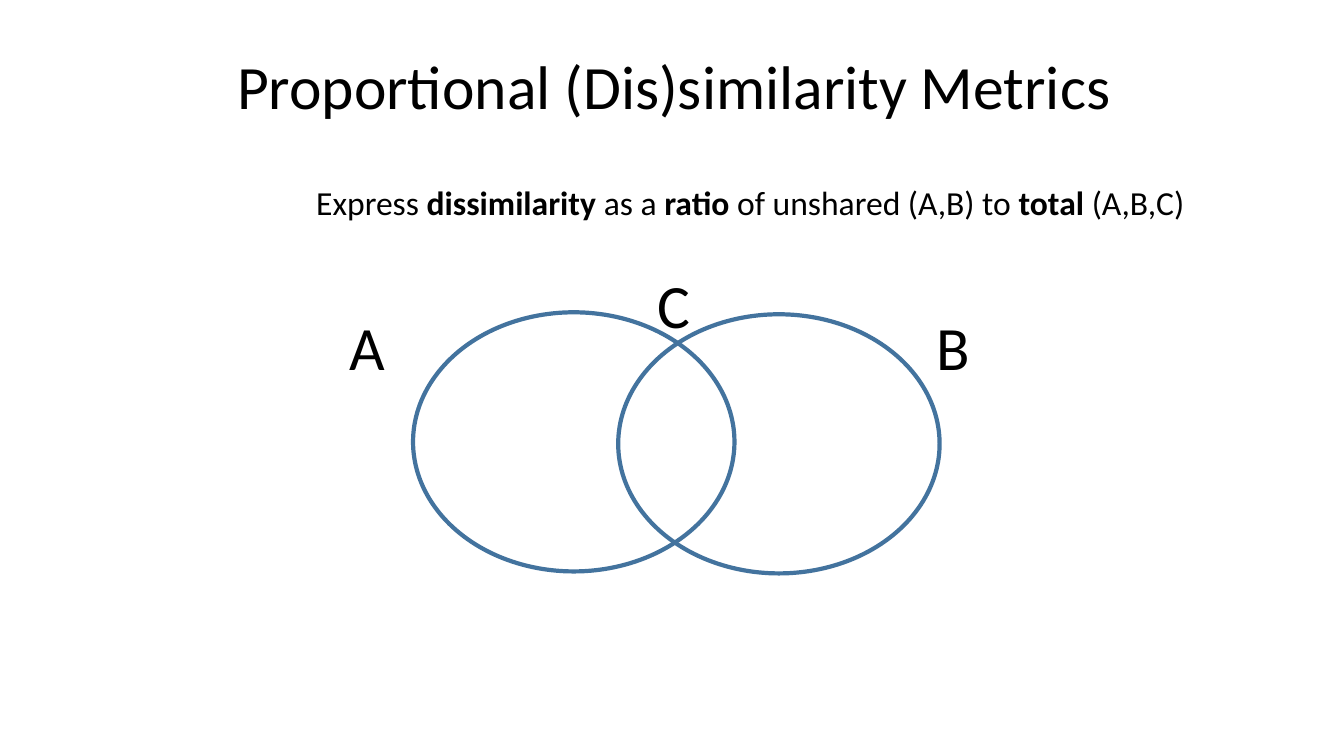
from dataclasses import dataclass
from pptx import Presentation
from pptx.dml.color import RGBColor as RGB
from pptx.enum.shapes import MSO_SHAPE as Shape
from pptx.enum.text import MSO_ANCHOR as Anchor, MSO_AUTO_SIZE as Fit, PP_ALIGN as Align
from pptx.util import Cm, Pt


@dataclass(frozen=True)
class Theme:
    font: str = "Calibri"
    ink: RGB = RGB(0, 0, 0)
    ring: RGB = RGB(0x43, 0x73, 0x9E)
    large: Pt = Pt(44)
    body: Pt = Pt(24)
    line: Pt = Pt(3)


THEME = Theme()


def assign(item, values):
    for name, value in values.items():
        setattr(item, name, value)


def add_text(slide, box, runs, size, frame, para):
    text = slide.shapes.add_textbox(*map(Cm, box)).text_frame
    assign(text, frame)
    line = text.paragraphs[0]
    assign(line, para)
    for words, bold in runs:
        run = line.add_run()
        run.text = words
        assign(run.font, {"name": THEME.font, "size": size, "bold": bold})
        run.font.color.rgb = THEME.ink


def add_title(slide, words):
    frame = {"word_wrap": True, "vertical_anchor": Anchor.MIDDLE}
    para = {"alignment": Align.CENTER, "line_spacing": 0.9}
    add_text(slide, (2.39, 0.41, 29.21, 3.68), [(words, False)],
             THEME.large, frame, para)


def add_label(slide, box, runs, size):
    frame = {"word_wrap": False, "auto_size": Fit.SHAPE_TO_FIT_TEXT}
    add_text(slide, box, runs, size, frame, {"alignment": Align.LEFT})


def add_ring(slide, left, top):
    box = map(Cm, (left, top, 8.1, 6.53))
    ring = slide.shapes.add_shape(Shape.OVAL, *box)
    ring.shadow.inherit = False
    ring.fill.background()
    ring.line.color.rgb = THEME.ring
    ring.line.width = THEME.line


def main():
    deck = Presentation()
    assign(deck, {"slide_width": Cm(33.87), "slide_height": Cm(19.05)})
    slide = deck.slides.add_slide(deck.slide_layouts[6])

    add_title(slide, "Proportional (Dis)similarity Metrics")
    for left, top in ((10.41, 7.87), (15.58, 7.92)):
        add_ring(slide, left, top)
    for name, left, top, width in (
        ("A", 8.56, 7.67, 1.42),
        ("B", 23.34, 7.67, 1.37),
        ("C", 16.31, 6.6, 1.37),
    ):
        add_label(slide, (left, top, width, 2.13), [(name, False)], THEME.large)

    claim = [
        ("Express ", False),
        ("dissimilarity", True),
        (" as a ", False),
        ("ratio", True),
        (" of unshared (A,B) to ", False),
        ("total", True),
        (" (A,B,C)", False),
    ]
    add_label(slide, (7.72, 4.47, 23.22, 1.27), claim, THEME.body)
    deck.save("out.pptx")


if __name__ == "__main__":
    main()
